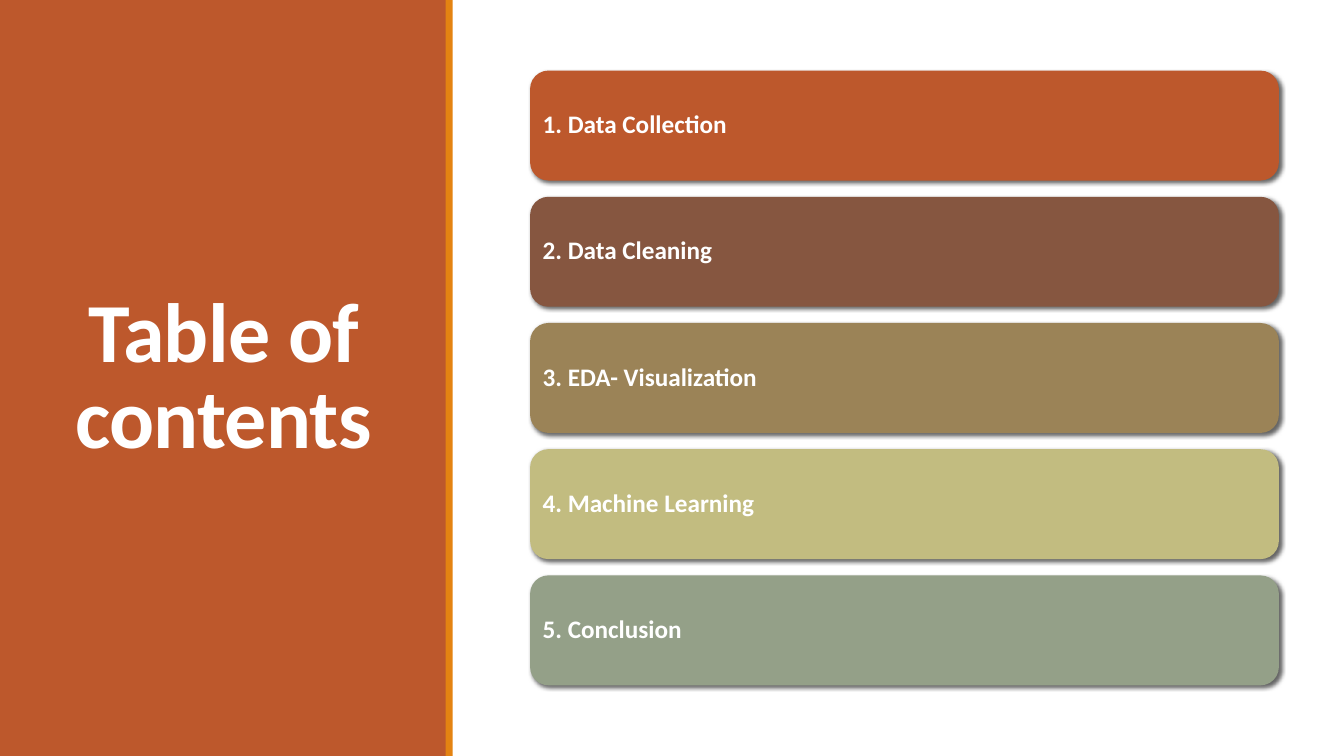
import pptx
import pptx.dml.color
import pptx.enum.shapes
import pptx.enum.text
import pptx.oxml
import pptx.oxml.ns
import pptx.util

Cm = pptx.util.Cm
SHAPES = pptx.enum.shapes.MSO_SHAPE
ALIGN = pptx.enum.text.PP_ALIGN
ANCHOR = pptx.enum.text.MSO_ANCHOR

SLIDE_WIDTH, SLIDE_HEIGHT = 33.87, 19.05
CARD_LEFT, CARD_TOP, CARD_WIDTH, CARD_HEIGHT = 13.36, 1.78, 18.87, 2.77
CARD_PITCH = 3.18

SECTIONS = [
    ("Data Collection", "BD582C"),
    ("Data Cleaning", "865640"),
    ("EDA- Visualization", "9B8357"),
    ("Machine Learning", "C2BC80"),
    ("Conclusion", "94A088"),
]


def color(code):
    return pptx.dml.color.RGBColor.from_string(code)


def write(frame, text, size, align=ALIGN.LEFT, anchor=ANCHOR.MIDDLE,
          line_spacing=0.9, tracking=0):
    frame.word_wrap = True
    frame.vertical_anchor = anchor
    para = frame.paragraphs[0]
    para.alignment = align
    para.line_spacing = line_spacing
    span = para.add_run()
    span.text = text
    span.font.name = "Calibri"
    span.font.size = pptx.util.Pt(size)
    span.font.bold = True
    span.font.color.rgb = color("FFFFFF")
    if tracking:
        span._r.get_or_add_rPr().set("spc", str(round(tracking * 100)))


def add_shadow(shape):
    effects = pptx.oxml.parse_xml(
        f'<a:effectLst {pptx.oxml.ns.nsdecls("a")}>'
        f'<a:outerShdw blurRad="{pptx.util.Pt(3)}" dist="{pptx.util.Pt(2)}"'
        ' dir="2700000" algn="tl" rotWithShape="0">'
        '<a:srgbClr val="000000"><a:alpha val="60000"/></a:srgbClr>'
        '</a:outerShdw></a:effectLst>')
    properties = shape._element.spPr
    properties.remove(properties.find(pptx.oxml.ns.qn("a:effectLst")))
    properties.append(effects)


class ContentsSlide:
    def __init__(self, page):
        self.page = page

    def block(self, kind, left, top, width, height, fill):
        shape = self.page.shapes.add_shape(
            kind, Cm(left), Cm(top), Cm(width), Cm(height))
        shape.shadow.inherit = False
        shape.fill.solid()
        shape.fill.fore_color.rgb = color(fill)
        shape.line.fill.background()
        return shape

    def title(self, text, left, top, width, height):
        box = self.page.shapes.add_textbox(
            Cm(left), Cm(top), Cm(width), Cm(height))
        write(box.text_frame, text, 60, align=ALIGN.CENTER,
              anchor=ANCHOR.BOTTOM, line_spacing=0.85, tracking=-0.5)

    def card(self, text, top, fill):
        card = self.block(SHAPES.ROUNDED_RECTANGLE, CARD_LEFT, top,
                          CARD_WIDTH, CARD_HEIGHT, fill)
        add_shadow(card)
        frame = card.text_frame
        frame.margin_left = frame.margin_right = Cm(0.18)
        frame.margin_top = frame.margin_bottom = Cm(0.18)
        write(frame, text, 18)


def main():
    deck = pptx.Presentation()
    deck.slide_width, deck.slide_height = Cm(SLIDE_WIDTH), Cm(SLIDE_HEIGHT)
    contents = ContentsSlide(deck.slides.add_slide(deck.slide_layouts[6]))
    contents.block(SHAPES.RECTANGLE, 0, 0, 11.25, SLIDE_HEIGHT, "BD582C")
    contents.block(SHAPES.RECTANGLE, 11.23, 0, 0.18, SLIDE_HEIGHT, "E48312")
    contents.title("Table of contents", 1.19, 5.51, 8.89, 6.35)
    for index, (name, fill) in enumerate(SECTIONS):
        contents.card(f"{index + 1}. {name}", CARD_TOP + index * CARD_PITCH, fill)
    deck.save("out.pptx")


if __name__ == "__main__":
    main()
